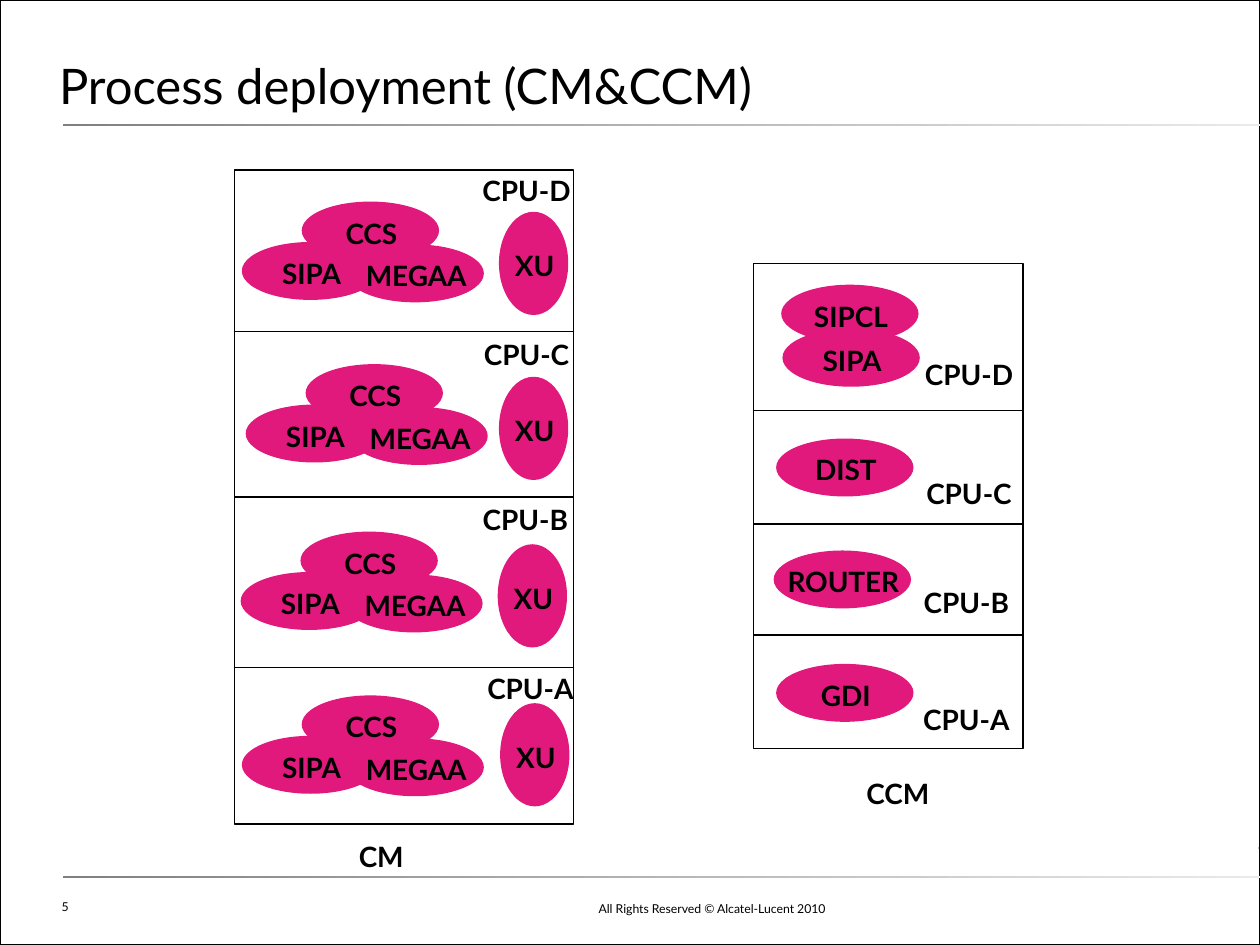
import pptx
import pptx.util
import pptx.dml.color
import pptx.enum.shapes
import pptx.enum.text
import pptx.oxml
import pptx.oxml.ns
from dataclasses import dataclass

Pt = pptx.util.Pt
Shape = pptx.enum.shapes.MSO_SHAPE
Align = pptx.enum.text.PP_ALIGN
Anchor = pptx.enum.text.MSO_ANCHOR
Fit = pptx.enum.text.MSO_AUTO_SIZE


@dataclass(frozen=True)
class Theme:
    font: str = "Lato"
    ink: str = "000000"
    node: str = "E1197D"
    dark: str = "808080"
    pale: str = "EAEAEA"
    mid: str = "D5D5D5"
    head: int = 28
    body: int = 16
    foot: int = 7
    thin: float = 0.75


T = Theme()
OVAL = (78.5, 33.1)
TALL = (39.6, 59)
TAG = (80.6, 36)

# Parts of the three-node cluster: name, x, y
TRIO = (("SIPA", 0, 23.1), ("CCS", 34.2, 0), ("MEGAA", 59.8, 24.5))

# Rows: name, top, tag place, nodes as (name, x, y, size) within the row


def trio(x, y):
    return [(name, x + dx, y + dy, OVAL) for name, dx, dy in TRIO]


CM = (
    ("CPU-D", 0, (126.7, -6.5), trio(4.3, 18) + [("XU", 151.2, 23.8, TALL)]),
    ("CPU-C", 92.2, (126.7, -5), trio(6.5, 18.7) + [("XU", 151.2, 25.9, TALL)]),
    ("CPU-B", 187.2, (126, -5.8), trio(3.6, 19.4) + [("XU", 150.5, 26.6, TALL)]),
    ("CPU-A", 284.4, (128.9, -6.5), trio(4.3, 15.8) + [("XU", 151.9, 20.2, TALL)]),
)
CCM = (
    ("CPU-D", 0, (82.8, 45.3), [("SIPA", 16.5, 37.4, OVAL), ("SIPCL", 15.8, 12.2, OVAL)]),
    ("CPU-C", 84.2, (82.8, 28.8), [("DIST", 12.9, 15.9, OVAL)]),
    ("CPU-B", 149, (81.3, 26.7), [("ROUTER", 11.5, 15.1, OVAL)]),
    ("CPU-A", 212.4, (81.3, 30.2), [("GDI", 12.9, 16.5, OVAL)]),
)


def color(code):
    return pptx.dml.color.RGBColor.from_string(code)


def style(part, values):
    for key, value in values.items():
        setattr(part, key, value)


def write(area, box, text, size, inset=(7.2, 3.6), bold=False, align=Align.LEFT,
          anchor=Anchor.TOP, fit=Fit.NONE, space=None):
    frame = area.add_textbox(*map(Pt, box)).text_frame
    side, edge = map(Pt, inset)
    style(frame, {"word_wrap": True, "auto_size": fit, "vertical_anchor": anchor,
                  "margin_left": side, "margin_right": side,
                  "margin_top": edge, "margin_bottom": edge})
    line = frame.paragraphs[0]
    style(line, {"text": text, "alignment": align, "line_spacing": space})
    style(line.font, {"name": T.font, "size": Pt(size), "bold": bold})
    line.font.color.rgb = color(T.ink)


def label(area, box, text):
    write(area, box, text, T.body, (8.64, 8.64), True, Align.CENTER,
          fit=Fit.SHAPE_TO_FIT_TEXT)


def shape(area, kind, box, fill=None, width=None):
    item = area.add_shape(kind, *map(Pt, box))
    item.shadow.inherit = False
    if fill:
        item.fill.solid()
        item.fill.fore_color.rgb = color(fill)
    else:
        item.fill.background()
    if width:
        item.line.color.rgb = color(T.ink)
        item.line.width = Pt(width)
    else:
        item.line.fill.background()
    return item


def fade(area, box, start, end):
    fill = shape(area, Shape.RECTANGLE, box).fill
    fill.gradient()
    fill.gradient_angle = 0
    for stop, code, spot in zip(fill.gradient_stops, (start, end), (0, 1)):
        stop.color.rgb = color(code)
        stop.position = spot


def node(area, x, y, size, name):
    wide, high = size
    shape(area, Shape.OVAL, (x, y, wide, high), T.node)
    span = 97.2 if size == OVAL else 106.6
    label(area, (x + wide / 2 - span / 2 + 0.6, y + high / 2 - 16.9, span, 36), name)


def split(area, frame, box, top):
    x, y, wide, high = box
    line = area.add_connector(pptx.enum.shapes.MSO_CONNECTOR.STRAIGHT,
                              Pt(x), Pt(y + top), Pt(x + wide), Pt(y + top))
    line.line.color.rgb = color(T.ink)
    line.line.width = Pt(T.thin)
    props = line._element.spPr
    props.append(props.makeelement(pptx.oxml.ns.qn("a:effectLst"), {}))
    # A divider at half height joins the frame's sides
    if abs(top - high / 2) < 1:
        line.begin_connect(frame, 1)
        line.end_connect(frame, 3)


def rack(slide, box, rows, name, place):
    x, y, wide, high = box
    area = slide.shapes.add_group_shape().shapes
    frame = shape(area, Shape.RECTANGLE, box, width=T.thin)
    for tag, top, (dx, dy), nodes in rows:
        if top:
            split(area, frame, box, top)
        for text, left, down, size in nodes:
            node(area, x + left, y + top + down, size, text)
        label(area, (x + dx, y + top + dy, *TAG), tag)
    label(slide.shapes, place, name)


def base(slide, box):
    x, y, wide, high = box
    area = slide.shapes
    fade(area, (x + wide - 1.4, y + 483.8, 0.7, 1.4), T.dark, T.mid)
    shape(area, Shape.RECTANGLE, box, width=1)
    # Rules under the title and above the footer
    for top in (70.6, 500.4):
        fade(area, (x + 36, y + top, wide - 33.8, 1.44), T.dark, T.pale)
    # Title
    write(area, (x + 33.8, y + 5.8, wide - 67.7, 59.8), "Process deployment (CM&CCM)",
          T.head, (0, 0), anchor=Anchor.BOTTOM, space=1.2)
    # Footer
    write(area, (x + 252, y + 509, 226.8, 18), "All Rights Reserved © Alcatel-Lucent 2010",
          T.foot, align=Align.RIGHT, anchor=Anchor.BOTTOM)
    write(area, (x + 28.1, y + 510.5, 305.3, 16.6), "5", T.foot)


def main():
    deck = pptx.Presentation()
    style(deck, {"slide_width": Pt(720), "slide_height": Pt(540)})
    slide = deck.slides.add_slide(deck.slide_layouts[6])
    base(slide, (0, 0, 720, 540))
    rack(slide, (133.9, 97.2, 193.7, 373.7), CM, "CM", (175, 470.9, 85.7, 36))
    rack(slide, (430.6, 150.5, 154.1, 277.2), CCM, "CCM", (470.2, 434.9, 85.7, 36))
    deck.save("out.pptx")


if __name__ == "__main__":
    main()
